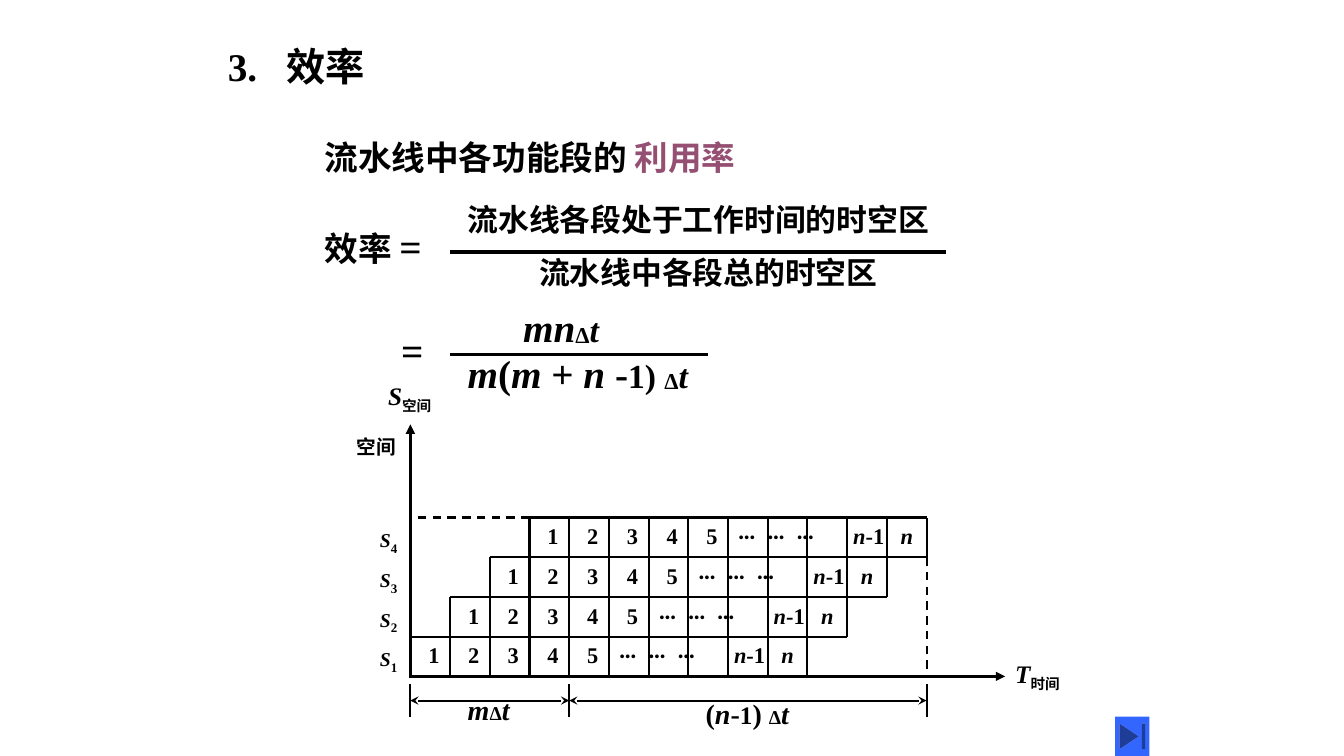
from dataclasses import dataclass

from lxml import etree
from pptx import Presentation
from pptx import util as u
from pptx.dml.color import RGBColor
from pptx.enum import dml, lang, shapes, text
from pptx.oxml import ns


@dataclass(frozen=True)
class Theme:
    ink: str = "000000"
    mark: str = "954F72"
    key: str = "3366FF"
    face: str = "Times New Roman"
    dots: str = "Calibri"
    huge: int = 28
    head: int = 24
    frac: int = 22
    span: int = 20
    axis: int = 18
    cell: int = 16
    note: int = 14
    thick: float = 2.25
    thin: float = 1.5


T = Theme()
WIDE, HIGH = 13.33, 7.5
STAGES, COLS, SPLIT = 4, 13, 4
LEFT, BASE, RIGHT = 4.07, 6.71, 9.19
CELL = (RIGHT - LEFT) / COLS

# Each run: text, size, then optional style: i italic, s subscript, d lowered, c coloured
TITLE = [("3.\t效率", T.huge)]
LABELS = [
    ((3.12, 1.31, 9.02, 0.5), [("流水线中各功能段的 ", T.head), ("利用率", T.head, "c")]),
    ((3.12, 2.16, 1.34, 0.57), [("效率 ", T.head), ("=", T.huge)]),
    ((4.54, 1.94, 6.38, 0.47), [("流水线各段处于工作时间的时空区", T.frac)]),
    ((5.25, 2.47, 5.2, 0.57), [("流水线中各段总的时空区", T.frac)]),
    ((3.88, 3.19, 0.58, 0.57), [("=", T.huge)]),
    ((5.09, 2.96, 1.49, 0.57),
     [("mn", T.huge, "i"), ("Δ", T.huge, "d"), ("t", T.head, "i")]),
    ((4.54, 3.42, 3.54, 0.57),
     [("m", T.huge, "i"), ("(", T.huge), ("m ", T.huge, "i"), ("+ ", T.huge),
      ("n ", T.huge, "i"), ("-", T.huge), ("1) ", T.head), ("Δ", T.huge, "d"),
      ("t", T.head, "i")]),
    ((3.75, 3.72, 0.79, 0.4), [("S", T.axis, "i"), ("空间", T.axis, "s")]),
    ((3.44, 4.27, 0.79, 0.34), [("空间", T.note)]),
    ((9.97, 6.48, 0.94, 0.4), [("T", T.axis, "i"), ("时间", T.axis, "s")]),
    ((4.54, 6.82, 1.49, 0.44),
     [("m", T.span, "i"), ("Δ", T.note), ("t", T.span, "i")]),
    ((6.9, 6.86, 1.49, 0.44),
     [("(", T.span), ("n", T.span, "i"), ("-", T.span), ("1", T.axis),
      (") ", T.span), ("Δ", T.note), ("t", T.span, "i")]),
]
BARS = [(4.46, 2.5, 9.38), (4.46, 3.52, 7.02)]
TASKS = "12345"
DOTS = [("…\t…\t…", T.axis)]
LAST = [("n", T.cell, "i"), ("-1\t", T.cell), ("n", T.cell, "i")]


def ink(code):
    return RGBColor.from_string(code)


def write(frame, runs, tabs=(), face=T.face):
    """Fill a frame with one paragraph of styled runs and tab stops in inches."""
    frame.word_wrap = True
    para = frame.paragraphs[0]
    para.alignment = text.PP_ALIGN.LEFT
    if tabs:
        stops = etree.SubElement(para._p.get_or_add_pPr(), ns.qn("a:tabLst"))
        for stop in tabs:
            etree.SubElement(stops, ns.qn("a:tab"), pos=str(u.Inches(stop)), algn="l")
    for words, size, *rest in runs:
        style = rest[0] if rest else ""
        run = para.add_run()
        run.text = words
        font = run.font
        font.name, font.size, font.bold = face, u.Pt(size), True
        font.italic = "i" in style
        font.language_id = lang.MSO_LANGUAGE_ID.SIMPLIFIED_CHINESE
        font.color.rgb = ink(T.mark if "c" in style else T.ink)
        drop = {"s": "-25000", "d": "-2000"}.get(style)
        if drop:
            run._r.get_or_add_rPr().set("baseline", drop)


def label(slide, box, runs, tabs=(), face=T.face, inset=0.1):
    frame = slide.shapes.add_textbox(*map(u.Inches, box)).text_frame
    frame.margin_left = u.Inches(inset)
    write(frame, runs, tabs, face)


def line(slide, start, end, width=T.thin, head=None, tail=None, dash=False):
    ends = map(u.Inches, (*start, *end))
    rule = slide.shapes.add_connector(shapes.MSO_CONNECTOR.STRAIGHT, *ends)
    rule.line.color.rgb = ink(T.ink)
    rule.line.width = u.Pt(width)
    if dash:
        rule.line.dash_style = dml.MSO_LINE.DASH
    for tag, kind in (("a:headEnd", head), ("a:tailEnd", tail)):
        if kind:
            etree.SubElement(rule.line._get_or_add_ln(), ns.qn(tag), type=kind)
    etree.SubElement(rule._element.spPr, ns.qn("a:effectLst"))


def spot(col, row):
    """Place of a grid corner, with rows counted upward from the time axis."""
    return LEFT + col * CELL, BASE - row * CELL


def draw_grid(slide):
    for row in range(1, STAGES + 1):
        line(slide, spot(row - 1, row), spot(min(COLS, COLS - 3 + row), row))
    for col in range(1, COLS + 1):
        low, top = max(0, col - COLS + 3), min(STAGES, col + 1)
        line(slide, spot(col, low), spot(col, top))
    line(slide, spot(3, STAGES), spot(0, STAGES), dash=True)
    line(slide, spot(COLS, 3), spot(COLS, 0), dash=True)


def fill_grid(slide):
    for stage in range(STAGES):
        name = [("S", T.note, "i"), (str(stage + 1), T.cell, "s")]
        top = spot(0, stage + 1)[1]
        label(slide, (3.67, top + 0.03, 0.47, 0.34), name)
        for step, task in enumerate(TASKS):
            left = spot(stage + step, 0)[0] + 0.08
            label(slide, (left, top, 0.24, 0.37), [(task, T.cell)])
        left = spot(stage + 5, 0)[0]
        label(slide, (left, top - 0.08, 1.26, 0.4), DOTS, (0.29, 0.58), T.dots)
        left = spot(stage + 8, 0)[0]
        label(slide, (left, top, 0.94, 0.37), LAST, (0.47,), inset=0.06)


def draw_axes(slide):
    line(slide, (LEFT, BASE), (9.97, BASE), T.thick, tail="triangle")
    line(slide, (LEFT, BASE + 0.02), (LEFT, 4.21), T.thick, tail="triangle")
    marks = [spot(col, 0)[0] for col in (0, SPLIT, COLS)]
    for x in marks:
        line(slide, (x, 6.79), (x, 7.11))
    for x, end in zip(marks, marks[1:]):
        line(slide, (x, 6.95), (end, 6.95), head="stealth", tail="stealth")


def main():
    deck = Presentation()
    deck.slide_width, deck.slide_height = u.Inches(WIDE), u.Inches(HIGH)
    slide = deck.slides.add_slide(deck.slide_layouts[5])

    title = slide.shapes.title
    title.left, title.top = u.Inches(2.26), u.Inches(0.36)
    title.width, title.height = u.Inches(2.58), u.Inches(0.58)
    frame = title.text_frame
    frame.margin_left = frame.margin_right = 0
    frame.auto_size = text.MSO_AUTO_SIZE.NONE
    frame.vertical_anchor = text.MSO_ANCHOR.MIDDLE
    write(frame, TITLE, (0.58,))

    for left, y, right in BARS:
        line(slide, (left, y), (right, y), T.thick)
    draw_grid(slide)
    draw_axes(slide)
    fill_grid(slide)
    for box, runs in LABELS:
        label(slide, box, runs)

    place = map(u.Inches, (11.06, 7.11, 0.34, 0.39))
    skip = slide.shapes.add_shape(shapes.MSO_SHAPE.ACTION_BUTTON_END, *place)
    skip.shadow.inherit = False
    skip.fill.solid()
    skip.fill.fore_color.rgb = ink(T.key)
    skip.line.fill.background()
    deck.save("out.pptx")


if __name__ == "__main__":
    main()
